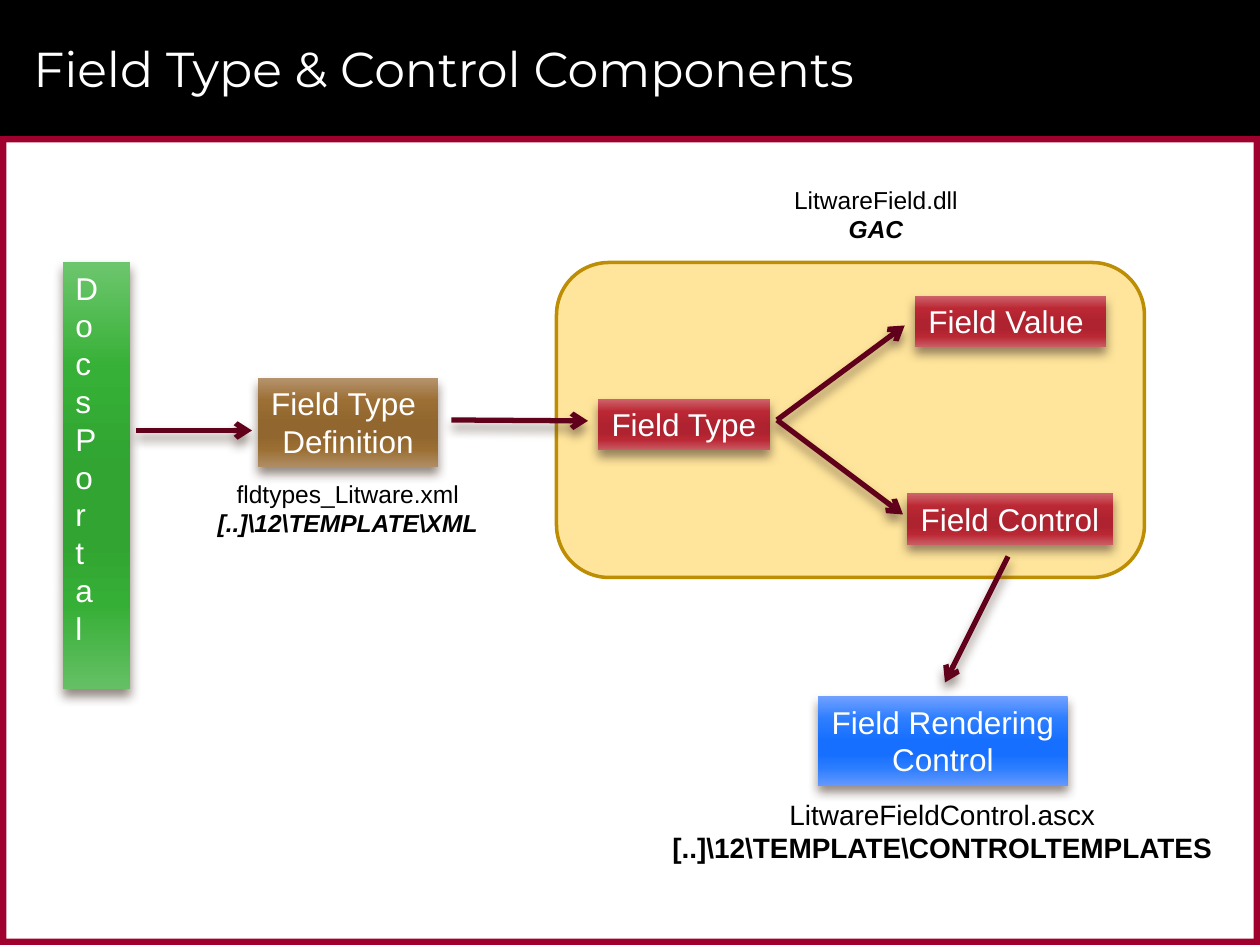
"""Build the field type and control components slide."""
from lxml import etree
from pptx import Presentation
from pptx.dml.color import RGBColor
from pptx.enum.shapes import MSO_CONNECTOR, MSO_SHAPE
from pptx.enum.text import MSO_ANCHOR, MSO_AUTO_SIZE, PP_ALIGN
from pptx.oxml import parse_xml
from pptx.oxml.ns import nsdecls, qn
from pptx.util import Pt

WIDTH, HEIGHT = 720, 540
HEADER, BORDER = 77.76, 3.6
COLORS = {"black": "000000", "white": "FFFFFF", "frame": "9F002D", "panel": "FFE59B",
          "panel line": "BD8D04", "arrow": "60001B", "shadow": "4E3B30"}
STOPS = (0, 25, 50, 65, 80, 100)
GRADIENTS = {
    "green": ("6DC66D", "36B036", "31A431", "31A431", "36AF36", "65C065"),
    "red": ("CE646B", "BB2834", "AE232F", "AE232F", "BA2834", "C95B63"),
    "brown": ("B5946E", "9C6F34", "91672F", "91672F", "9B6F33", "AF8D65"),
    "blue": ("71A0FF", "2D7EFF", "166FFF", "166FFF", "2B7DFF", "6398FF"),
}
TITLE = "Field Type & Control Components"
PORTAL = "DocsPortal"
FRAME = [
    ("black", (0, 0, WIDTH, HEADER)),
    ("frame", (0, HEADER, WIDTH, BORDER)),
    ("frame", (0, HEIGHT - BORDER, WIDTH, BORDER)),
    ("frame", (WIDTH - BORDER, HEADER, BORDER, HEIGHT - HEADER)),
    ("frame", (0, HEADER, BORDER, HEIGHT - HEADER)),
]
PANEL = (318, 150, 336, 180)
BOXES = [
    (PORTAL, "green", (36, 150, 38.3, 244)),
    ("Field Type", "red", (341.75, 228, 98.2, 29.1)),
    ("Field Type \nDefinition", "brown", (147.5, 216, 102.7, 50.9)),
    ("Field Value ", "red", (522.8, 169, 109.2, 29.1)),
    ("Field Control", "red", (518.4, 282, 117.5, 29.1)),
    ("Field Rendering\nControl", "blue", (467.5, 398, 142.7, 50.9)),
]
CAPTIONS = [
    ("fldtypes_Litware.xml", "[..]\\12\\TEMPLATE\\XML", 14, True, (116.8, 270, 164, 41.2)),
    ("LitwareField.dll", "GAC", 14, True, (446.2, 102, 108.7, 41.2)),
    ("LitwareFieldControl.ascx", "[..]\\12\\TEMPLATE\\CONTROLTEMPLATES", 16, False,
     (375, 452, 327, 46)),
]
ARROWS = [
    ((78, 246), (144, 246)),
    ((258, 240), (336, 240.5)),
    ((444, 240), (517, 186)),
    ((444, 240), (516, 294)),
    ((576, 318), (540, 390)),
]

prs = Presentation()
prs.slide_width, prs.slide_height = Pt(WIDTH), Pt(HEIGHT)
slide = prs.slides.add_slide(prs.slide_layouts[6])
shapes = slide.shapes


def rgb(name):
    return RGBColor.from_string(COLORS[name])


def points(values):
    return [Pt(value) for value in values]


def add_block(kind, place, fill=None):
    block = shapes.add_shape(kind, *points(place))
    block.shadow.inherit = False
    block.line.fill.background()
    if fill:
        block.fill.solid()
        block.fill.fore_color.rgb = rgb(fill)
    return block


def add_shadow(item):
    properties = item._element.spPr
    for old in properties.findall(qn("a:effectLst")):
        properties.remove(old)
    properties.append(parse_xml(
        f'<a:effectLst {nsdecls("a")}><a:outerShdw blurRad="{Pt(6)}" dist="{Pt(4)}" '
        f'dir="5400000" rotWithShape="0"><a:srgbClr val="{COLORS["shadow"]}">'
        '<a:alpha val="60000"/></a:srgbClr></a:outerShdw></a:effectLst>'))


def set_gradient(shape, name):
    shape.fill.gradient()
    gradient = shape._element.spPr.find(qn("a:gradFill"))
    stops = "".join(f'<a:gs pos="{stop * 1000}"><a:srgbClr val="{color}"/></a:gs>'
                    for stop, color in zip(STOPS, GRADIENTS[name]))
    gradient.getparent().replace(gradient, parse_xml(
        f'<a:gradFill {nsdecls("a")} rotWithShape="1"><a:gsLst>{stops}</a:gsLst>'
        '<a:lin ang="5400000" scaled="0"/></a:gradFill>'))


def write(shape, lines, size, color, font="Arial", align=PP_ALIGN.CENTER, italic=False):
    frame = shape.text_frame
    frame.word_wrap = False
    frame.vertical_anchor = MSO_ANCHOR.TOP
    paragraph = frame.paragraphs[0]
    paragraph.alignment = align
    for index, (text, bold) in enumerate(lines):
        if index:
            paragraph.add_line_break()
        run = paragraph.add_run()
        run.text = text
        run.font.name, run.font.size = font, Pt(size)
        run.font.color.rgb = rgb(color)
        run.font.bold, run.font.italic = bold, bold and italic
    return frame


for fill, place in FRAME:
    add_block(MSO_SHAPE.RECTANGLE, place, fill)

panel = add_block(MSO_SHAPE.ROUNDED_RECTANGLE, PANEL, "panel")
panel.line.color.rgb = rgb("panel line")
panel.line.width = Pt(2)

title = shapes.add_textbox(*points((12, 6, 678, 66)))
write(title, [(TITLE, False)], 28, "white", "Montserrat",
      PP_ALIGN.LEFT).vertical_anchor = MSO_ANCHOR.MIDDLE

for text, gradient, place in BOXES:
    box = add_block(MSO_SHAPE.RECTANGLE, place)
    set_gradient(box, gradient)
    add_shadow(box)
    vertical = text == PORTAL
    frame = write(box, [(line, False) for line in text.split("\n")], 18, "white",
                  align=PP_ALIGN.LEFT if vertical else PP_ALIGN.CENTER)
    if vertical:
        frame._txBody.bodyPr.set("vert", "wordArtVert")
    else:
        frame.auto_size = MSO_AUTO_SIZE.SHAPE_TO_FIT_TEXT

for name, location, size, italic, place in CAPTIONS:
    caption = shapes.add_textbox(*points(place))
    write(caption, [(name, False), (location, True)], size, "black",
          italic=italic).auto_size = MSO_AUTO_SIZE.SHAPE_TO_FIT_TEXT

for start, end in ARROWS:
    arrow = shapes.add_connector(MSO_CONNECTOR.STRAIGHT, *points(start + end))
    arrow.line.color.rgb = rgb("arrow")
    arrow.line.width = Pt(3)
    etree.SubElement(arrow.line._get_or_add_ln(), qn("a:tailEnd"), type="arrow")
    add_shadow(arrow)

prs.save("out.pptx")
